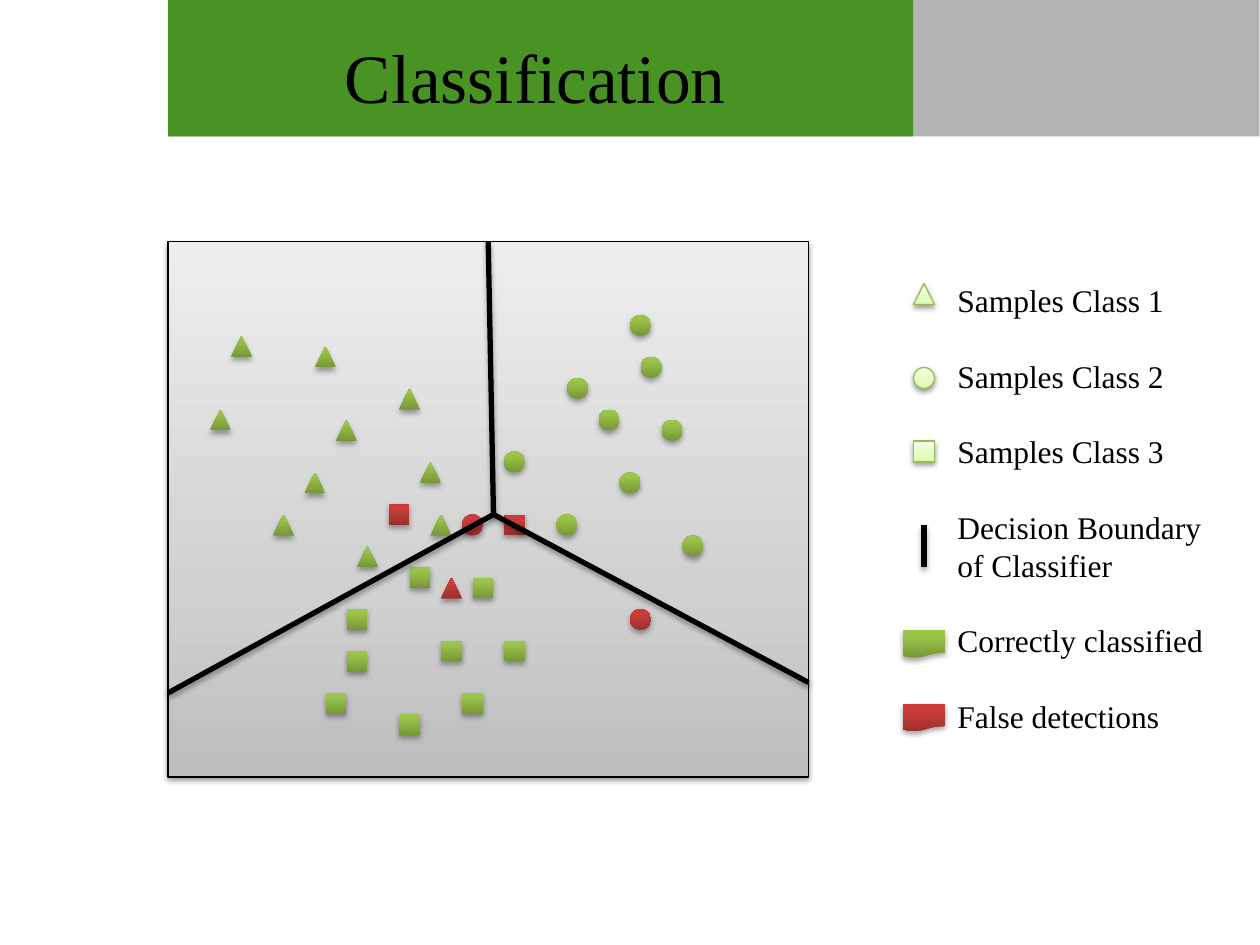
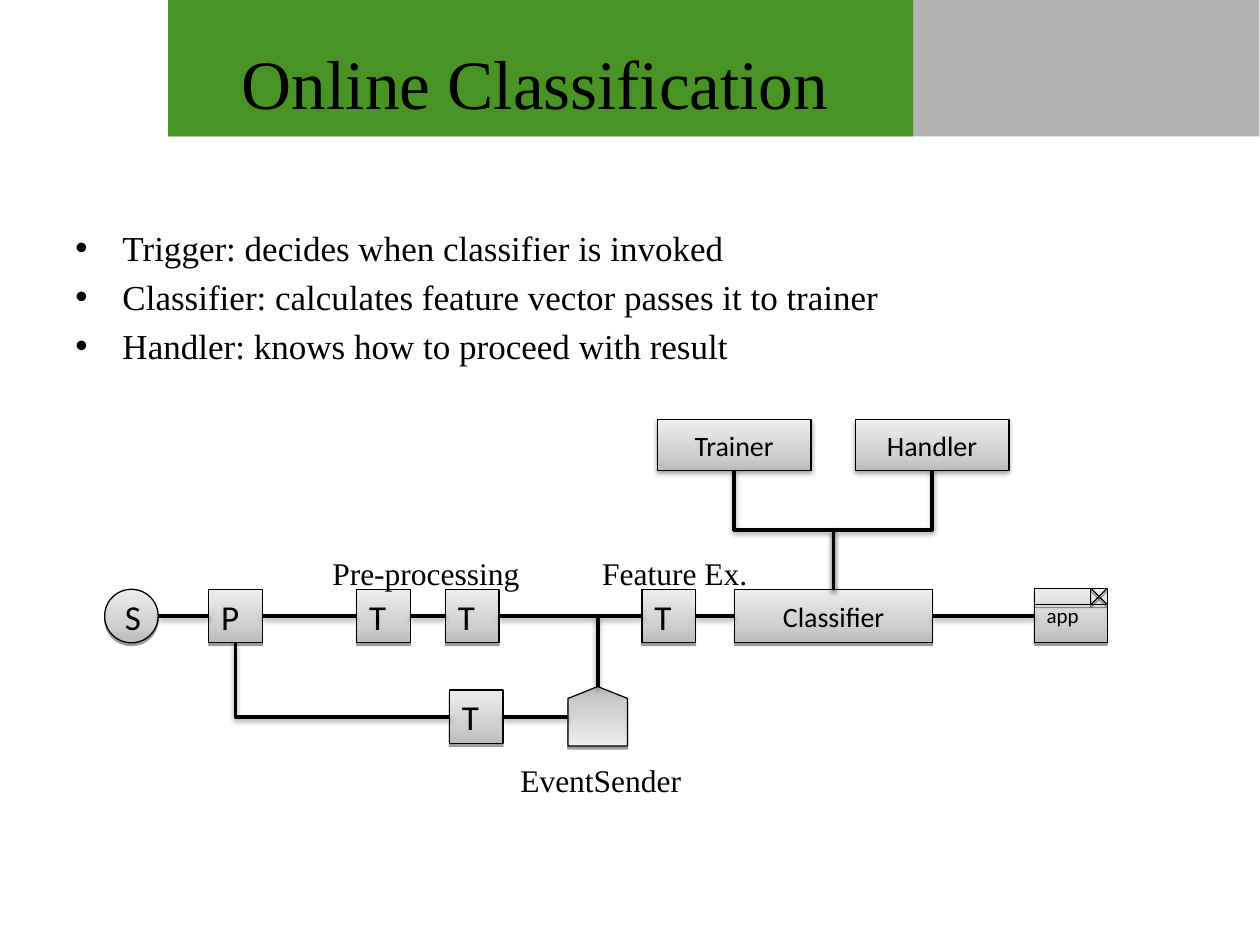
from dataclasses import dataclass
from itertools import pairwise
from typing import NamedTuple

from pptx import Presentation
from pptx.dml.color import RGBColor as RGB
from pptx.enum.shapes import MSO_CONNECTOR as CXN, MSO_SHAPE as SHP
from pptx.enum.text import MSO_ANCHOR as ANC, MSO_AUTO_SIZE as FIT, PP_ALIGN as AL
from pptx.oxml import parse_xml
from pptx.oxml.ns import nsdecls, qn
from pptx.shapes.autoshape import Shape
from pptx.shapes.connector import Connector
from pptx.shapes.shapetree import GroupShapes, SlideShapes
from pptx.slide import Slide
from pptx.text.text import TextFrame
from pptx.util import Cm, Pt

Shapes = SlideShapes | GroupShapes
BLACK, GREEN, GRAY = "000000", "489324", "B3B3B3"
SERIF, SANS = "Times New Roman", "Calibri"
AXIS, BRANCH = 12.42, 14.45
BOX = 1.08


class Rect(NamedTuple):
    """Left, top, width and height in centimetres."""
    x: float
    y: float
    w: float
    h: float


class Shadow(NamedTuple):
    """Opacity in percent, blur and distance in points."""
    alpha: int
    blur: float
    dist: float


@dataclass(frozen=True)
class Look:
    """Gradient from bottom to top, outline colour and shadow."""
    stops: tuple[tuple[int, str], ...]
    line: str | None
    shadow: Shadow


@dataclass(frozen=True)
class Node:
    """Labelled box of the processing chain."""
    text: str
    at: Rect
    size: int = 20
    kind: SHP = SHP.RECTANGLE
    align: AL = AL.LEFT
    wrap: bool = False


@dataclass(frozen=True)
class Cluster:
    """Samples of one class, placed in grid steps."""
    kind: SHP
    correct: tuple[tuple[int, int], ...]
    false: tuple[tuple[int, int], ...]
    legend_row: int


SOFT, FLAT, DEEP = Shadow(38, 3.1, 1.6), Shadow(38, 0, 1.6), Shadow(35, 3.1, 1.8)
PANEL = Look(((0, "BDBDBD"), (35, "D1D1D1"), (100, "EEEEEE")), BLACK, SOFT)
METAL = Look(((0, "BCBCBC"), (35, "D0D0D0"), (100, "EDEDED")), BLACK, FLAT)
CORRECT = Look(((0, "779737"), (80, "9BC348"), (100, "9DC746")), None, DEEP)
FALSE = Look(((0, "9C2F2D"), (80, "CB3E3A"), (100, "CE3B37")), None, DEEP)
PALE = Look(((0, "DAFDA7"), (35, "E4FCC2"), (100, "F5FFE7")), "98B955", SOFT)

CLUSTERS = [
    Cluster(SHP.ISOSCELES_TRIANGLE,
            ((22, 32), (30, 33), (20, 39), (26, 49), (32, 40), (29, 45), (38, 37),
             (34, 52), (40, 44), (41, 49)),
            ((42, 55),), 27),
    Cluster(SHP.OVAL,
            ((60, 30), (57, 39), (61, 34), (59, 45), (63, 40), (48, 43), (53, 49),
             (65, 51), (54, 36)),
            ((60, 58), (44, 49)), 35),
    Cluster(SHP.RECTANGLE,
            ((45, 55), (38, 68), (42, 61), (44, 66), (48, 61), (31, 66), (33, 58),
             (39, 54), (33, 62)),
            ((48, 49), (37, 48)), 42),
]
LEGEND = ["Samples Class 1", "Samples Class 2", "Samples Class 3",
          "Decision Boundary\vof Classifier", "Correctly classified", "False detections"]
BOUNDARIES = [((46.5, 23), (47, 49)), ((47, 49), (16, 66)),
              ((47, 49), (77, 65)), ((88, 50), (88, 54))]

BULLETS = ["Trigger: decides when classifier is invoked",
           "Classifier: calculates feature vector passes it to trainer",
           "Handler: knows how to proceed with result"]


def square(x: float, axis: float) -> Rect:
    """Return a standard box centred on a horizontal axis."""
    return Rect(x, axis - BOX / 2, BOX, BOX)


APP = Rect(20.85, 11.86, 1.47, 1.09)
CLASSIFIER = Rect(14.81, AXIS - BOX / 2, 3.99, BOX)
CHAIN = [Node("S", square(2.11, AXIS), kind=SHP.OVAL),
         Node("P", square(4.21, AXIS)),
         Node("T", square(7.19, AXIS)),
         Node("T", square(8.98, AXIS)),
         Node("T", square(12.94, AXIS)),
         Node("Classifier", CLASSIFIER, 16, align=AL.CENTER)]
SIDE = Node("T", square(9.06, BRANCH))
SENDER = Rect(11.45, 13.84, 1.2, 1.2)
HELPERS = [Node(text, Rect(x, 8.46, 3.1, 1.02), 16, align=AL.CENTER, wrap=True)
           for text, x in (("Trainer", 13.25), ("Handler", 17.24))]
LABELS = [("EventSender", Rect(10.24, 15.21, 3.84, 1.02)),
          ("Pre-processing", Rect(6.45, 11.05, 4.32, 1.02)),
          ("Feature Ex.", Rect(11.89, 11.05, 3.5, 1.02))]


def rgb(value: str) -> RGB:
    """Turn a hex string into a colour."""
    return RGB.from_string(value)


def grid(n: float) -> float:
    """Turn grid steps of a twelfth of an inch into centimetres."""
    return n * 2.54 / 12


def add_shadow(sp: Shape | Connector, shadow: Shadow) -> None:
    """Append a downward shadow after the outline."""
    sp.element.spPr.append(parse_xml(
        f'<a:effectLst {nsdecls("a")}><a:outerShdw blurRad="{Pt(shadow.blur)}" '
        f'dist="{Pt(shadow.dist)}" dir="5400000" rotWithShape="0"><a:srgbClr val="{BLACK}">'
        f'<a:alpha val="{shadow.alpha * 1000}"/></a:srgbClr></a:outerShdw></a:effectLst>'))


def add_shape(shapes: Shapes, kind: SHP, at: Rect, look: Look) -> Shape:
    """Draw a preset shape with gradient, outline and shadow."""
    sp = shapes.add_shape(kind, *map(Cm, at))
    sp.fill.background()
    stops = "".join(f'<a:gs pos="{pos * 1000}"><a:srgbClr val="{color}"/></a:gs>'
                    for pos, color in look.stops)
    spPr = sp.element.spPr
    spPr.replace(spPr.find(qn("a:noFill")), parse_xml(
        f'<a:gradFill {nsdecls("a")} rotWithShape="1"><a:gsLst>{stops}</a:gsLst>'
        '<a:lin ang="16200000" scaled="0"/></a:gradFill>'))
    if look.line:
        sp.line.color.rgb = rgb(look.line)
        sp.line.width = Pt(0.75)
    else:
        sp.line.fill.background()
    add_shadow(sp, look.shadow)
    return sp


def add_line(shapes: Shapes, start: tuple[float, float], end: tuple[float, float],
             width: float, shadow: Shadow, kind: CXN = CXN.STRAIGHT) -> Connector:
    """Draw a black connector with a shadow."""
    cx = shapes.add_connector(kind, *map(Cm, (*start, *end)))
    cx.line.color.rgb = rgb(BLACK)
    cx.line.width = Pt(width)
    add_shadow(cx, shadow)
    return cx


def add_elbow(shapes: Shapes, start: tuple[float, float], end: tuple[float, float],
              preset: str) -> None:
    """Draw a bent connector that leaves its start downwards."""
    (x1, y1), (x2, y2) = start, end
    mx, my, w, h = (x1 + x2) / 2, (y1 + y2) / 2, abs(y2 - y1), abs(x2 - x1)
    cx = add_line(shapes, (mx - w / 2, my - h / 2), (mx + w / 2, my + h / 2),
                  2, SOFT, CXN.ELBOW)
    spPr = cx.element.spPr
    spPr.find(qn("a:prstGeom")).set("prst", preset)
    turn = {"rot": "5400000"} if x2 < x1 else {"rot": "16200000", "flipH": "1"}
    for name, value in turn.items():
        spPr.find(qn("a:xfrm")).set(name, value)


def fill_text(tf: TextFrame, lines: list[str], size: float, font: str = SERIF,
              frame: dict | None = None, para: dict | None = None, gap: float = 0) -> None:
    """Write paragraphs with one format, with a gap between them."""
    for name, value in (frame or {}).items():
        setattr(tf, name, value)
    for i, text in enumerate(lines):
        p = tf.add_paragraph() if i else tf.paragraphs[0]
        p.text = text
        formats = {"alignment": AL.LEFT, "space_before": Pt(gap if i else 0), **(para or {})}
        for name, value in formats.items():
            setattr(p, name, value)
        for r in p.runs:
            for name, value in {"name": font, "size": Pt(size)}.items():
                setattr(r.font, name, value)
            r.font.color.rgb = rgb(BLACK)


def add_text(shapes: Shapes, at: Rect, lines: list[str], size: float, **formats) -> TextFrame:
    """Add a text box; without a frame format it grows around its text."""
    tf = shapes.add_textbox(*map(Cm, at)).text_frame
    formats.setdefault("frame", {"word_wrap": False, "auto_size": FIT.SHAPE_TO_FIT_TEXT})
    fill_text(tf, lines, size, **formats)
    return tf


def add_node(shapes: Shapes, node: Node, look: Look = METAL) -> None:
    """Draw a labelled box."""
    sp = add_shape(shapes, node.kind, node.at, look)
    fill_text(sp.text_frame, [node.text], node.size, SANS,
              {"word_wrap": node.wrap, "vertical_anchor": ANC.MIDDLE},
              {"alignment": node.align})


def add_slide(prs: Presentation, title: str, top: float) -> Slide:
    """Add a slide with the header bands and its title."""
    s = prs.slides.add_slide(prs.slide_layouts[6])
    for color, width in ((GRAY, 22), (GREEN, 15.02)):
        sp = s.shapes.add_shape(SHP.RECTANGLE, Cm(3.39), Cm(0), Cm(width), Cm(2.75))
        sp.fill.solid()
        sp.fill.fore_color.rgb = rgb(color)
        sp.line.fill.background()
        sp.shadow.inherit = False
    add_text(s.shapes, Rect(3.39, top, 14.81, 1.78), [title], 39.6,
             frame={"word_wrap": True, "vertical_anchor": ANC.MIDDLE},
             para={"alignment": AL.CENTER})
    return s


def build_classification(prs: Presentation) -> None:
    """Build the scatter of classified samples with its legend."""
    shapes = add_slide(prs, "Classification", 0.64).shapes
    panel = add_shape(shapes, SHP.ROUNDED_RECTANGLE, Rect(*map(grid, (16, 23, 61, 51))), PANEL)
    panel.adjustments[0] = 0
    for c in CLUSTERS:
        for look, spots in ((CORRECT, c.correct), (FALSE, c.false),
                            (PALE, ((87, c.legend_row),))):
            for x, y in spots:
                add_shape(shapes, c.kind, Rect(*map(grid, (x, y, 2, 2))), look)
    add_text(shapes, Rect(19.05, 5.54, 5.49, 9.5), LEGEND, 18,
             para={"line_spacing": Pt(21.6)}, gap=21.6)
    for start, end in BOUNDARIES:
        add_line(shapes, tuple(map(grid, start)), tuple(map(grid, end)), 3, DEEP)
    for look, row in ((CORRECT, 60), (FALSE, 67)):
        add_shape(shapes, SHP.FLOWCHART_DOCUMENT, Rect(*map(grid, (86, row, 4, 2.67))), look)


def add_app_window(shapes: Shapes) -> None:
    """Draw the application window with its title bar and close button."""
    group = shapes.add_group_shape().shapes
    add_node(group, Node("app", APP, 12, SHP.FLOWCHART_PROCESS))
    right, bar, left = APP.x + APP.w, APP.y + 0.33, APP.x + 1.14
    for start, end in (((APP.x, bar), (right, bar)), ((left, APP.y), (left, bar)),
                       ((left, APP.y), (right, bar)), ((right, APP.y), (left, bar))):
        add_line(group, start, end, 0.75, FLAT)


def build_online(prs: Presentation) -> None:
    """Build the bullets and the online processing chain."""
    shapes = add_slide(prs, "Online Classification", 0.76).shapes
    tf = add_text(shapes, Rect(1.27, 4.45, 22.86, 11.63), BULLETS, 20,
                  frame={"word_wrap": True}, para={"line_spacing": Pt(24)}, gap=4)
    for p in tf.paragraphs:
        pPr = p._p.get_or_add_pPr()
        for name, value in {"marL": Cm(0.95), "indent": Cm(-0.95)}.items():
            pPr.set(name, str(value))
        for tag in (f'<a:buFont {nsdecls("a")} typeface="Arial"/>',
                    f'<a:buChar {nsdecls("a")} char="•"/>'):
            pPr.append(parse_xml(tag))

    for node in (*CHAIN, SIDE):
        add_node(shapes, node)
    add_app_window(shapes)
    add_shape(shapes, SHP.FLOWCHART_OFFPAGE_CONNECTOR, SENDER, METAL).rotation = 180
    for a, b in pairwise([*(node.at for node in CHAIN), APP]):
        add_line(shapes, (a.x + a.w, AXIS), (b.x, AXIS), 2, SOFT)
    side, source = SIDE.at, CHAIN[1].at
    add_line(shapes, (side.x + side.w, BRANCH), (SENDER.x, BRANCH), 2, SOFT)
    middle = SENDER.x + SENDER.w / 2
    add_line(shapes, (middle, SENDER.y), (middle, AXIS), 2, SOFT)
    add_elbow(shapes, (source.x + BOX / 2, source.y + BOX), (side.x, BRANCH), "bentConnector2")
    for node in HELPERS:
        add_node(shapes, node, PANEL)
        at = node.at
        add_elbow(shapes, (at.x + at.w / 2, at.y + at.h),
                  (CLASSIFIER.x + CLASSIFIER.w / 2, CLASSIFIER.y), "bentConnector3")
    for text, at in LABELS:
        add_text(shapes, at, [text], 18)


def main() -> None:
    """Build and save the presentation."""
    prs = Presentation()
    prs.slide_width, prs.slide_height = Cm(25.4), Cm(19.05)
    build_classification(prs)
    build_online(prs)
    prs.save("out.pptx")


if __name__ == "__main__":
    main()
